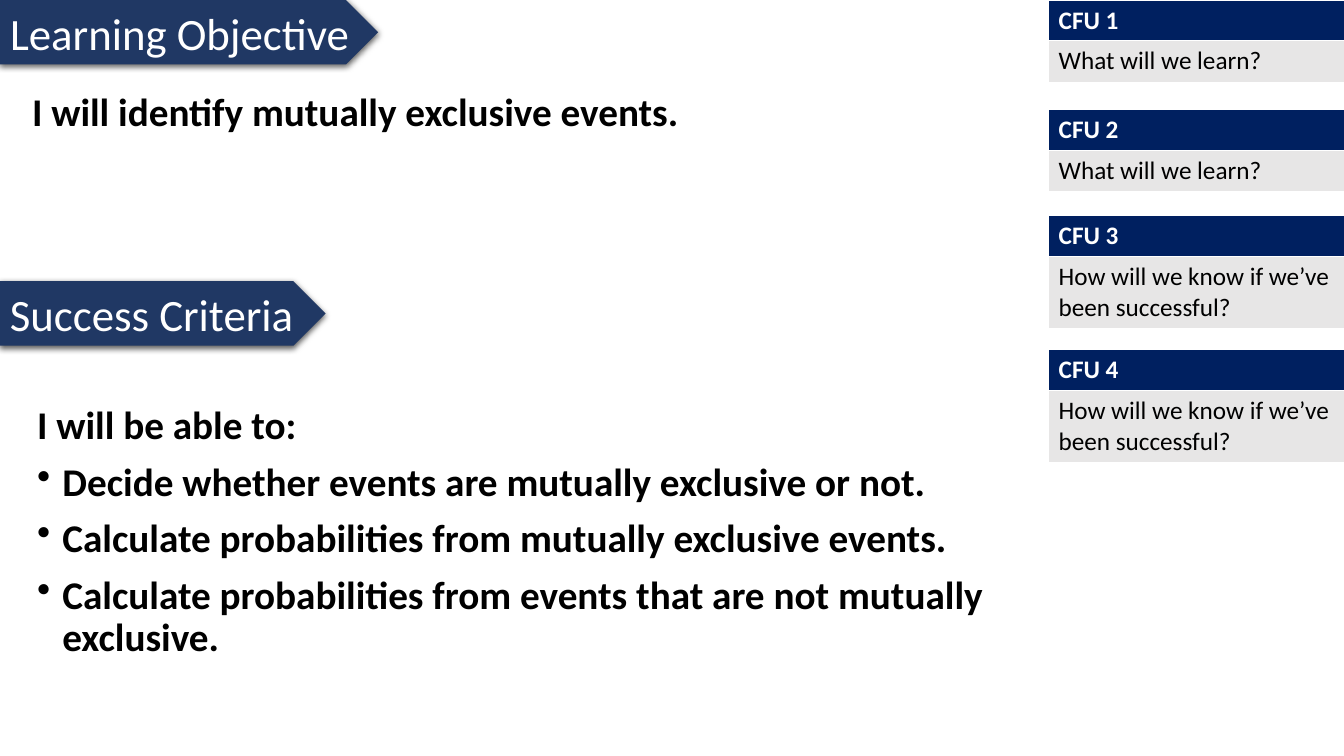
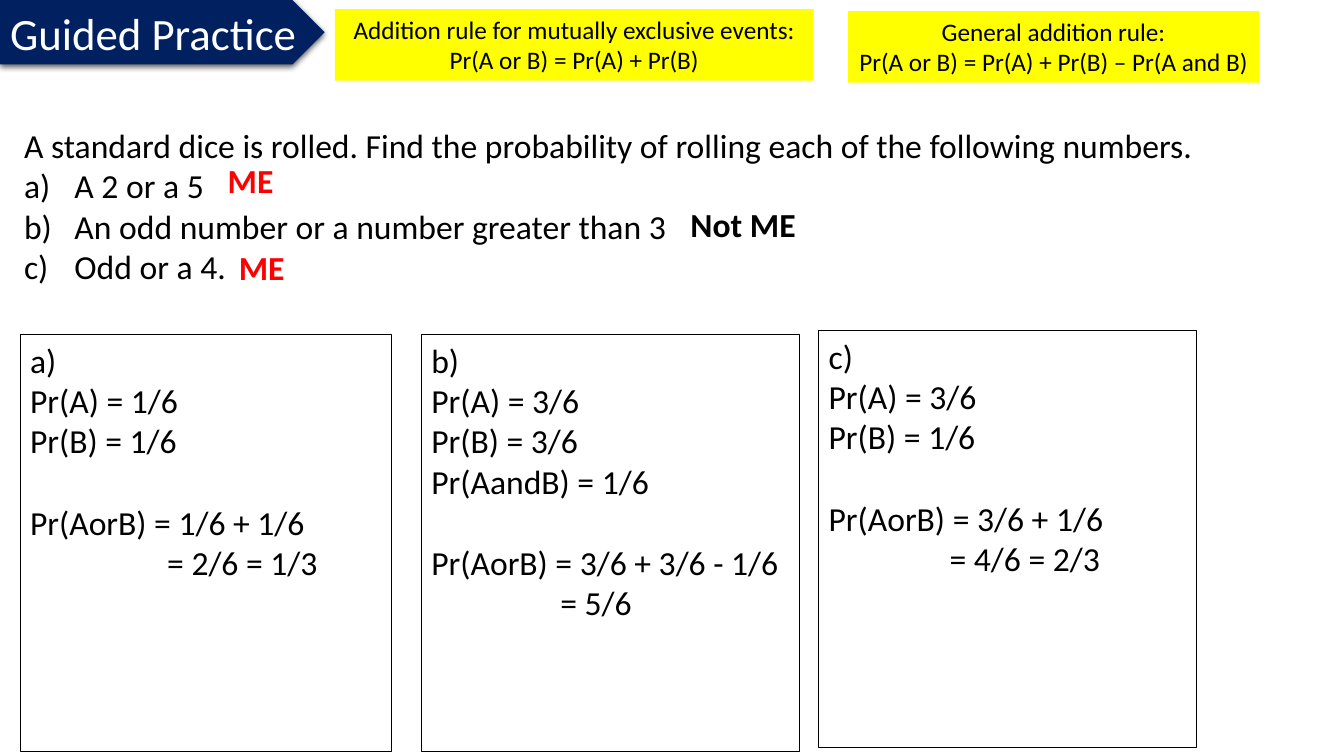
from dataclasses import dataclass

from lxml import etree
from pptx import Presentation
from pptx.dml.color import RGBColor
from pptx.enum.shapes import MSO_SHAPE as Kind
from pptx.enum.text import MSO_ANCHOR as Anchor, MSO_AUTO_SIZE as Fit, PP_ALIGN as Align
from pptx.oxml.ns import qn
from pptx.util import Inches, Pt


@dataclass(frozen=True)
class Theme:
    font: str = "Calibri"
    slate: str = "203864"
    navy: str = "002060"
    white: str = "FFFFFF"
    black: str = "000000"
    red: str = "FF0000"
    gray: str = "E7E6E6"
    yellow: str = "FFFF00"
    head: int = 32
    goal: int = 28
    body: int = 24
    note: int = 18


T = Theme()

BULLET = ("buChar", "char", "•")
LETTER = ("buAutoNum", "type", "alphaLcParenR")

CHECKS = [
    ("CFU 1", "What will we learn?", 0, 0.41),
    ("CFU 2", "What will we learn?", 1.09, 0.41),
    ("CFU 3", "How will we know if we’ve been successful?", 2.14, 0.71),
    ("CFU 4", "How will we know if we’ve been successful?", 3.47, 0.71),
]
GOAL = ["I will identify mutually exclusive events."]
LEAD = "I will be able to:"
SKILLS = [
    "Decide whether events are mutually exclusive or not.",
    "Calculate probabilities from mutually exclusive events.",
    "Calculate probabilities from events that are not mutually exclusive.",
]

TASK = "A standard dice is rolled. Find the probability of rolling each of the following numbers."
PARTS = ["A 2 or a 5", "An odd number or a number greater than 3", "Odd or a 4."]
TAGS = [
    ("ME", T.red, 2.16, 1.54),
    ("Not ME", T.black, 6.75, 1.97),
    ("ME", T.red, 2.27, 2.4),
]
RULES = [
    (["Addition rule for mutually exclusive events:", "Pr(A or B) = Pr(A) + Pr(B)"],
     (3.32, 0.09, 4.75, 0.71)),
    (["General addition rule:", "Pr(A or B) = Pr(A) + Pr(B) – Pr(A and B)"],
     (8.41, 0.11, 4.08, 0.71)),
]
WORK = [
    (["a)", "Pr(A) = 1/6", "Pr(B) = 1/6"], "Pr(AorB) = 1/6 + 1/6",
     "= 2/6 = 1/3", 1.36, (0.2, 3.32, 3.68, 4.14)),
    (["b)", "Pr(A) = 3/6", "Pr(B) = 3/6", "Pr(AandB) = 1/6"], "Pr(AorB) = 3/6 + 3/6 - 1/6",
     "= 5/6", 1.28, (4.18, 3.32, 3.75, 4.14)),
    (["c)", "Pr(A) = 3/6", "Pr(B) = 1/6"], "Pr(AorB) = 3/6 + 1/6",
     "= 4/6 = 2/3", 1.2, (8.12, 3.28, 3.75, 4.14)),
]


def rgb(code):
    return RGBColor.from_string(code)


def spot(box):
    return [Inches(n) for n in box]


def write(frame, lines, size=T.body, color=T.black, bold=False, align=Align.LEFT,
          lead=None, gap=0, wrap=True, anchor=Anchor.TOP):
    frame.word_wrap = wrap
    frame.auto_size = Fit.NONE
    frame.vertical_anchor = anchor
    for i, line in enumerate(lines):
        text, fmt = (line, {}) if isinstance(line, str) else line
        para = frame.paragraphs[0] if i == 0 else frame.add_paragraph()
        para.alignment = align
        para.line_spacing = lead
        para.space_before = Pt(fmt.get("gap", gap) if i else 0)
        props = para._p.get_or_add_pPr()
        if "left" in fmt:
            props.set("marL", str(Inches(fmt["left"])))
            props.set("indent", str(Inches(fmt.get("hang", 0))))
        if "mark" in fmt:
            tag, key, val = fmt["mark"]
            etree.SubElement(props, qn("a:" + tag)).set(key, val)
        run = para.add_run()
        run.text = text
        font = run.font
        font.name, font.size, font.bold = T.font, Pt(size), bold
        font.color.rgb = rgb(color)


def label(slide, box, lines, **fmt):
    write(slide.shapes.add_textbox(*spot(box)).text_frame, lines, **fmt)


def panel(slide, box, kind=Kind.RECTANGLE, fill=None, line=None):
    shape = slide.shapes.add_shape(kind, *spot(box))
    shape.shadow.inherit = False
    if fill:
        shape.fill.solid()
        shape.fill.fore_color.rgb = rgb(fill)
    else:
        shape.fill.background()
    if line:
        shape.line.color.rgb = rgb(line)
        shape.line.width = Pt(0.75)
    else:
        shape.line.fill.background()
    return shape


def band(slide, top, width, fill):
    shape = panel(slide, (0, top, width, 0.64), Kind.PENTAGON, fill)
    glow = shape._element.spPr.find(qn("a:effectLst"))
    shade = etree.SubElement(glow, qn("a:outerShdw"), blurRad=str(Pt(4.5)),
                             dist=str(Pt(1.5)), dir="5400000", algn="ctr", rotWithShape="0")
    tint = etree.SubElement(shade, qn("a:srgbClr"), val=T.black)
    etree.SubElement(tint, qn("a:alpha"), val="63000")
    return shape


HEAD = dict(size=T.head, color=T.white, wrap=False, anchor=Anchor.MIDDLE)


def start(deck, text, width, fill):
    slide = deck.slides.add_slide(deck.slide_layouts[5])
    band(slide, 0, width, fill)
    title = slide.shapes.title
    title.left, title.top, title.width, title.height = spot((0, 0, width, 0.64))
    write(title.text_frame, [text], **HEAD)
    slide.shapes._spTree.append(title._element)
    return slide


def check(slide, name, ask, top, high):
    rows = [(name, T.navy, T.white, True, 0.39), (ask, T.gray, T.black, False, high)]
    box = (10.4, top, 2.94, 0.39 + high)
    table = slide.shapes.add_table(2, 1, *spot(box)).table
    table.horz_banding = False
    for i, (text, fill, color, bold, tall) in enumerate(rows):
        table.rows[i].height = Inches(tall)
        cell = table.cell(i, 0)
        cell.fill.solid()
        cell.fill.fore_color.rgb = rgb(fill)
        write(cell.text_frame, [text], size=T.note, color=color, bold=bold)


def aims(deck):
    slide = start(deck, "Learning Objective", 3.75, T.slate)
    write(band(slide, 2.79, 3.23, T.slate).text_frame, ["Success Criteria"], **HEAD)
    for row in CHECKS:
        check(slide, *row)
    look = dict(size=T.goal, bold=True, lead=0.9, gap=10)
    label(slide, (0.22, 0.87, 9.7, 1.5), GOAL, **look)
    item = dict(left=0.25, hang=-0.25, mark=BULLET)
    label(slide, (0.27, 3.98, 9.59, 2.73), [LEAD] + [(text, item) for text in SKILLS], **look)


def drill(deck):
    slide = start(deck, "Guided Practice", 3.22, T.navy)
    item = dict(left=0.5, hang=-0.5, mark=LETTER)
    label(slide, (0.14, 1.19, 12.85, 1.72), [TASK] + [(text, item) for text in PARTS])
    for given, total, result, left, box in WORK:
        lines = given + [(total, dict(gap=29.3)), (result, dict(left=left))]
        write(panel(slide, box, line=T.black).text_frame, lines)
    for text, color, left, top in TAGS:
        label(slide, (left, top, 1.72, 0.5), [text], color=color, bold=True)
    for lines, box in RULES:
        write(panel(slide, box, fill=T.yellow).text_frame, lines,
              size=T.note, align=Align.CENTER)


def main():
    deck = Presentation()
    deck.slide_width, deck.slide_height = Inches(13.33), Inches(7.5)
    aims(deck)
    drill(deck)
    deck.save("out.pptx")


if __name__ == "__main__":
    main()
